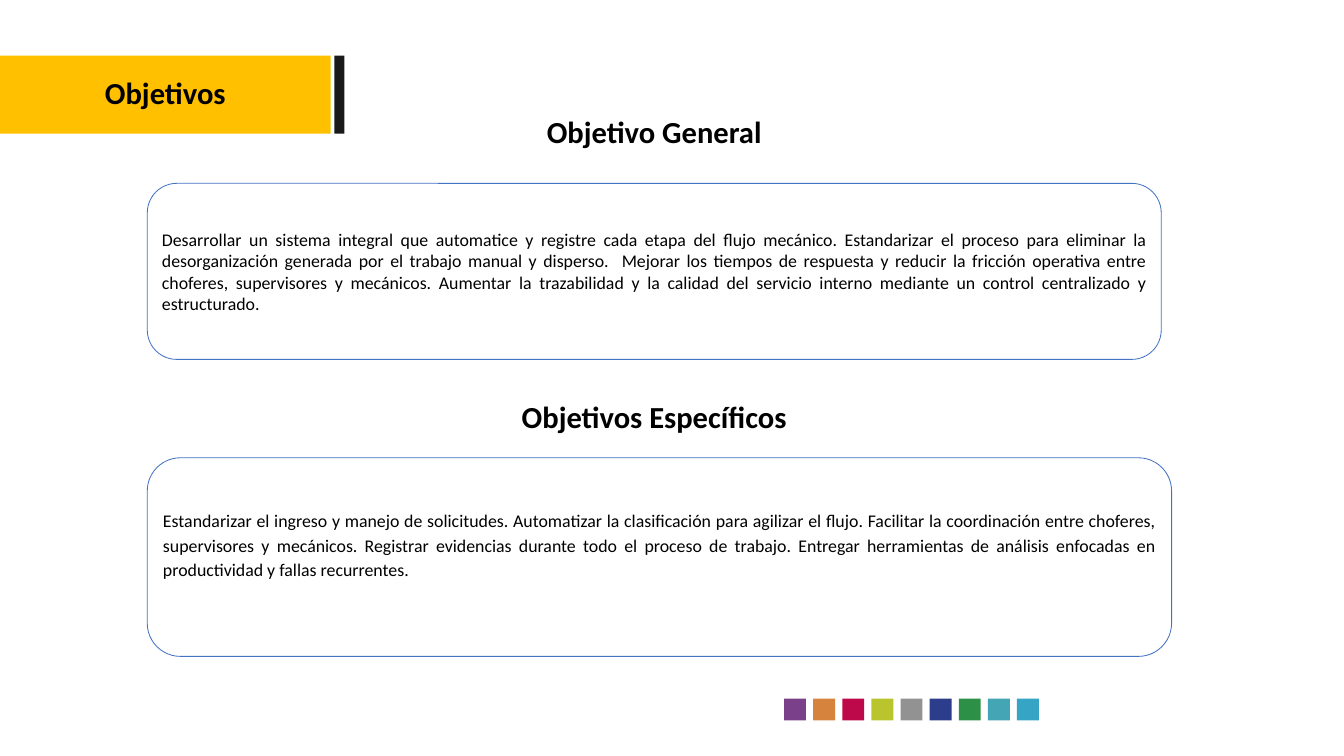
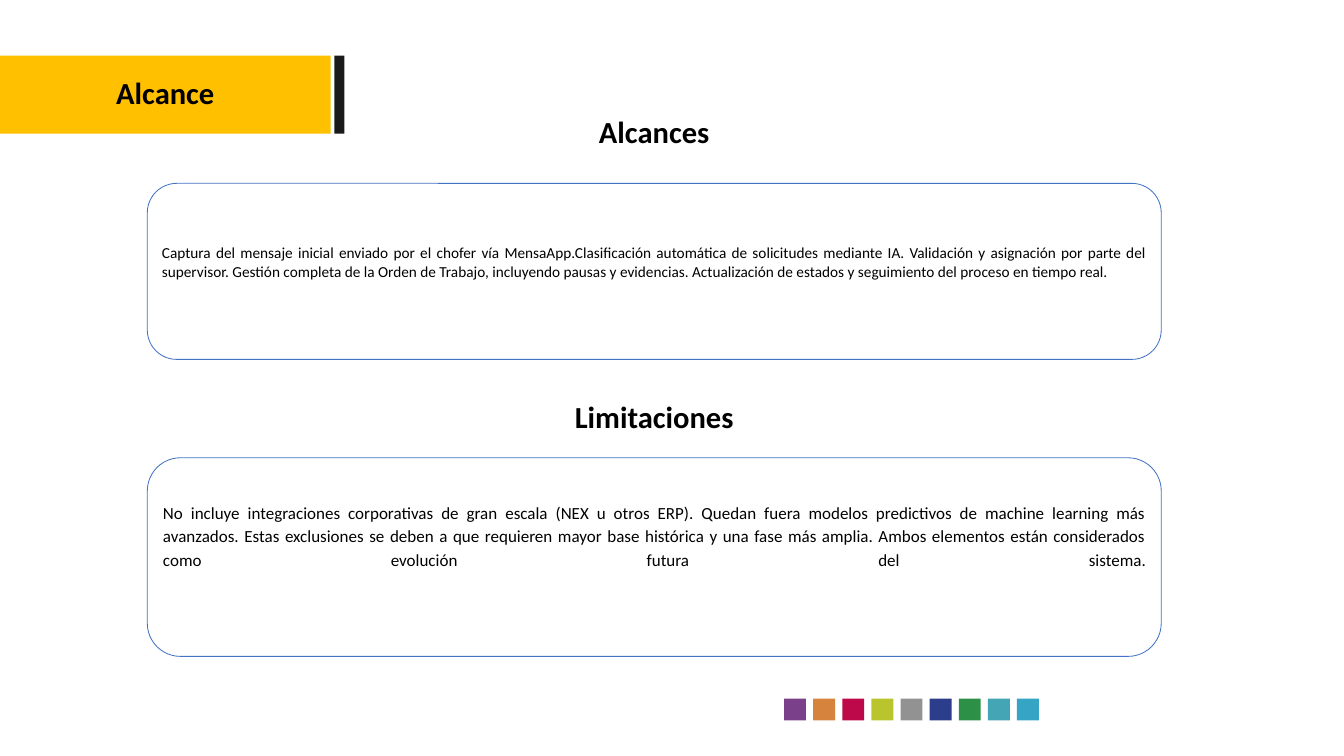
from dataclasses import dataclass

from pptx import Presentation
from pptx.dml.color import RGBColor
from pptx.enum.shapes import MSO_SHAPE
from pptx.enum.text import MSO_ANCHOR, MSO_AUTO_SIZE, PP_ALIGN
from pptx.shapes.autoshape import Shape
from pptx.slide import Slide
from pptx.util import Pt


@dataclass(frozen=True)
class Theme:
    font: str = "Calibri"
    ink: str = "000000"
    band: str = "FFC000"
    bar: str = "1A1A1A"
    panel: str = "FFFFFF"
    outline: str = "4472C4"
    swatches: tuple[str, ...] = (
        "7B408A", "D6843D", "BD0949", "BAC52E", "929292",
        "2C3E8B", "2C9146", "44A6B5", "35A4C5",
    )
    heading_size: float = 36
    large: float = 21
    medium: float = 20
    small: float = 18


@dataclass(frozen=True)
class Box:
    left: float
    top: float
    width: float
    height: float

    def lengths(self) -> tuple[Pt, Pt, Pt, Pt]:
        return Pt(self.left), Pt(self.top), Pt(self.width), Pt(self.height)


@dataclass(frozen=True)
class Section:
    heading: str
    heading_top: float
    text: str
    box: Box
    size: float
    spacing: float = 1.0
    lift: float = 0
    full_last_line: bool = False


@dataclass(frozen=True)
class Page:
    title: str
    sections: tuple[Section, ...]


THEME = Theme()
SLIDE_W, SLIDE_H = 1583.28, 890.64
BAND = Box(0, 65.5, 389.5, 92)
BAR = Box(393.8, 65.5, 12, 92)
SWATCH = Box(923.7, 823, 25.8, 25.8)
SWATCH_STEP = 34.3
HEADING_LEFT, HEADING_W, HEADING_H = 106.5, 1328.4, 51
UPPER_HEADING, LOWER_HEADING = 129.6, 464.4
UPPER_BOX = Box(173.5, 216, 1194.5, 207.4)
LOWER_BOX = Box(173.5, 539.3, 1194.5, 234)
WIDE_LOWER_BOX = Box(173.5, 539.3, 1206.7, 234)

PAGES = (
    Page("Objetivos", (
        Section(
            "Objetivo General", UPPER_HEADING,
            "Desarrollar un sistema integral que automatice y registre cada etapa "
            "del flujo mecánico. Estandarizar el proceso para eliminar la "
            "desorganización generada por el trabajo manual y disperso.  Mejorar "
            "los tiempos de respuesta y reducir la fricción operativa entre "
            "choferes, supervisores y mecánicos. Aumentar la trazabilidad y la "
            "calidad del servicio interno mediante un control centralizado y "
            "estructurado.",
            UPPER_BOX, THEME.large,
        ),
        Section(
            "Objetivos Específicos", LOWER_HEADING,
            "Estandarizar el ingreso y manejo de solicitudes. Automatizar la "
            "clasificación para agilizar el flujo. Facilitar la coordinación entre "
            "choferes, supervisores y mecánicos. Registrar evidencias durante todo "
            "el proceso de trabajo. Entregar herramientas de análisis enfocadas en "
            "productividad y fallas recurrentes.",
            WIDE_LOWER_BOX, THEME.large, spacing=1.15, lift=32,
        ),
    )),
    Page("Alcance", (
        Section(
            "Alcances", UPPER_HEADING,
            "Captura del mensaje inicial enviado por el chofer vía "
            "MensaApp.Clasificación automática de solicitudes mediante IA. "
            "Validación y asignación por parte del supervisor. Gestión completa de "
            "la Orden de Trabajo, incluyendo pausas y evidencias. Actualización de "
            "estados y seguimiento del proceso en tiempo real.",
            UPPER_BOX, THEME.small, lift=22,
        ),
        Section(
            "Limitaciones", LOWER_HEADING,
            "No incluye integraciones corporativas de gran escala (NEX u otros "
            "ERP). Quedan fuera modelos predictivos de machine learning más "
            "avanzados. Estas exclusiones se deben a que requieren mayor base "
            "histórica y una fase más amplia. Ambos elementos están considerados "
            "como evolución futura del sistema.",
            LOWER_BOX, THEME.medium, spacing=1.15, lift=32, full_last_line=True,
        ),
    )),
)


def write(sp: Shape, text: str, *, size: float, bold: bool = False,
          align: PP_ALIGN = PP_ALIGN.CENTER, spacing: float = 1.0,
          lift: float = 0, full_last_line: bool = False) -> None:
    tf = sp.text_frame
    tf.word_wrap = True
    tf.auto_size = MSO_AUTO_SIZE.NONE
    tf.vertical_anchor = MSO_ANCHOR.MIDDLE
    tf.margin_left = tf.margin_right = Pt(7.2)
    tf.margin_top = Pt(3.6)
    tf.margin_bottom = Pt(3.6 + lift)
    p = tf.paragraphs[0]
    p.alignment = align
    p.line_spacing = spacing
    r = p.add_run()
    r.text = text
    r.font.name = THEME.font
    r.font.size = Pt(size)
    r.font.bold = bold
    r.font.color.rgb = RGBColor.from_string(THEME.ink)
    if full_last_line:
        p.add_line_break()


def paint(sp: Shape, fill: str) -> None:
    sp.fill.solid()
    sp.fill.fore_color.rgb = RGBColor.from_string(fill)


def add_block(s: Slide, box: Box, fill: str, kind: MSO_SHAPE = MSO_SHAPE.RECTANGLE,
              outline: str | None = None) -> Shape:
    sp = s.shapes.add_shape(kind, *box.lengths())
    sp.shadow.inherit = False
    paint(sp, fill)
    if outline:
        sp.line.color.rgb = RGBColor.from_string(outline)
        sp.line.width = Pt(1)
    else:
        sp.line.fill.background()
    return sp


def add_frame(s: Slide, title: str) -> None:
    sp = s.shapes.title
    sp.left, sp.top, sp.width, sp.height = BAND.lengths()
    paint(sp, THEME.band)
    write(sp, title, size=THEME.heading_size, bold=True, lift=6)
    add_block(s, BAR, THEME.bar)
    for i, color in enumerate(THEME.swatches):
        left = SWATCH.left + i * SWATCH_STEP
        add_block(s, Box(left, SWATCH.top, SWATCH.width, SWATCH.height), color)


def add_section(s: Slide, section: Section) -> None:
    heading = Box(HEADING_LEFT, section.heading_top, HEADING_W, HEADING_H)
    write(s.shapes.add_textbox(*heading.lengths()), section.heading,
          size=THEME.heading_size, bold=True)
    sp = add_block(s, section.box, THEME.panel, MSO_SHAPE.ROUNDED_RECTANGLE,
                   THEME.outline)
    sp.adjustments[0] = 0.167
    write(sp, section.text, size=section.size, align=PP_ALIGN.JUSTIFY,
          spacing=section.spacing, lift=section.lift,
          full_last_line=section.full_last_line)


def main() -> None:
    prs = Presentation()
    prs.slide_width, prs.slide_height = Pt(SLIDE_W), Pt(SLIDE_H)
    title_only = prs.slide_layouts[5]
    for page in PAGES:
        s = prs.slides.add_slide(title_only)
        add_frame(s, page.title)
        for section in page.sections:
            add_section(s, section)
    prs.save("out.pptx")


if __name__ == "__main__":
    main()
